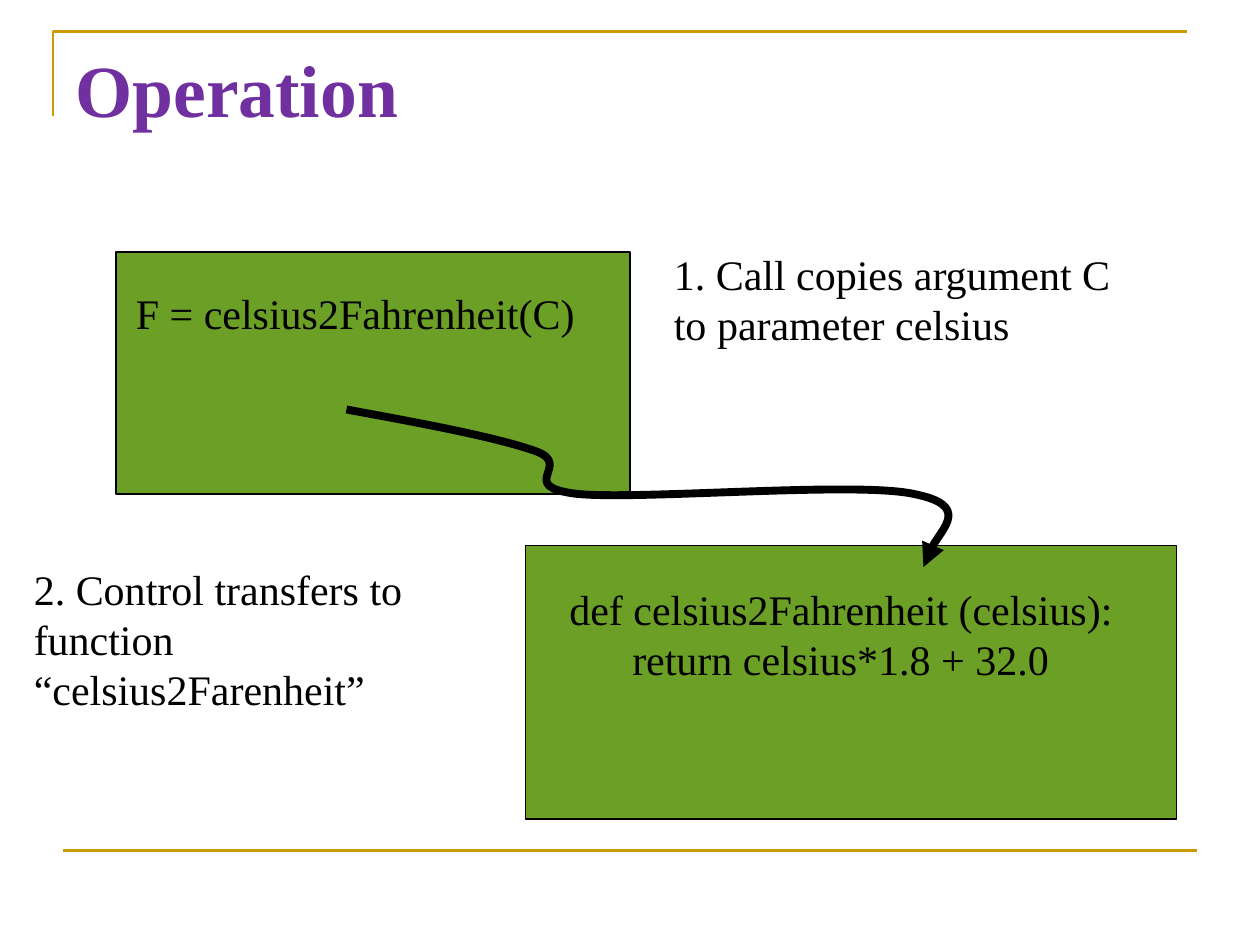
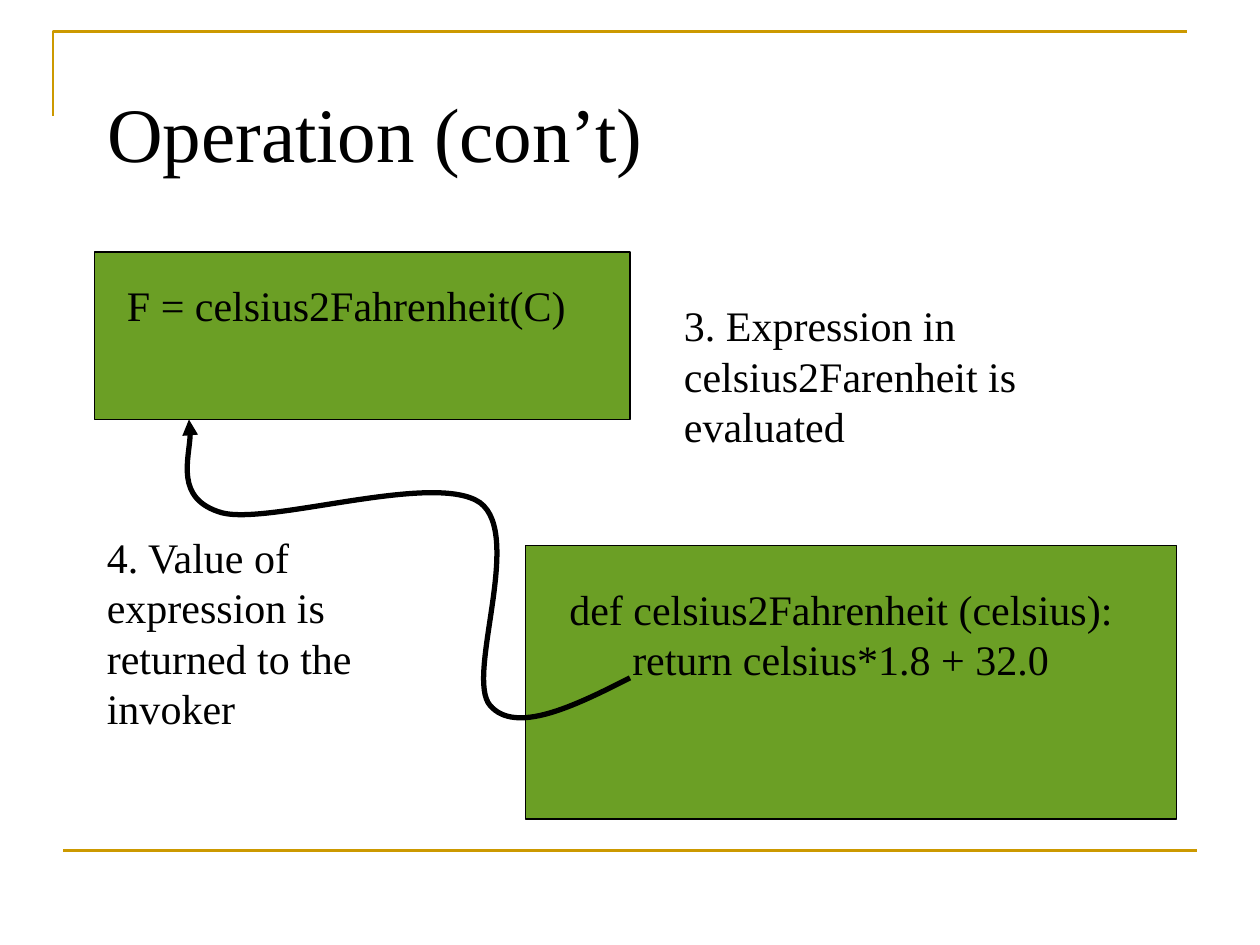
import pptx
import pptx.dml.color
import pptx.enum.shapes
import pptx.enum.text
import pptx.oxml
import pptx.oxml.ns
import pptx.util
from lxml import etree

Inches = pptx.util.Inches
Pt = pptx.util.Pt
Anchor = pptx.enum.text.MSO_ANCHOR

FONT = "Times New Roman"
BLACK = "000000"
GOLD = "CC9900"
GREEN = "6B9F25"
PURPLE = "7030A0"

CALL = ["F = celsius2Fahrenheit(C)"]
FUNCTION = ["def celsius2Fahrenheit (celsius):", "      return celsius*1.8 + 32.0"]


def color(value):
    return pptx.dml.color.RGBColor.from_string(value)


def sub_element(parent, tag, **attributes):
    return etree.SubElement(parent, pptx.oxml.ns.qn(tag), **attributes)


def set_line(shape, value, width):
    shape.line.color.rgb = color(value)
    shape.line.width = Pt(width)


def write(frame, lines, size=24, value=BLACK, bold=False, anchor=Anchor.TOP):
    frame.word_wrap = True
    frame.auto_size = pptx.enum.text.MSO_AUTO_SIZE.NONE
    frame.vertical_anchor = anchor
    for index, line in enumerate(lines):
        para = frame.add_paragraph() if index else frame.paragraphs[0]
        para.alignment = pptx.enum.text.PP_ALIGN.LEFT
        span = para.add_run()
        span.text = line
        span.font.name = FONT
        span.font.size = Pt(size)
        span.font.bold = bold
        span.font.color.rgb = color(value)


def add_text(page, place, lines):
    box = page.shapes.add_textbox(*map(Inches, place))
    write(box.text_frame, lines)


def add_block(page, place):
    """Add the green rectangle that stands for a piece of code."""
    block = page.shapes.add_shape(
        pptx.enum.shapes.MSO_SHAPE.RECTANGLE, *map(Inches, place))
    block.shadow.inherit = False
    block.fill.solid()
    block.fill.fore_color.rgb = color(GREEN)
    set_line(block, BLACK, 0.75)


def add_outline(page, points, value, width):
    """Add an open, unfilled freeform through the points."""
    start, *others = [(Inches(x), Inches(y)) for x, y in points]
    builder = page.shapes.build_freeform(*start)
    builder.add_line_segments(others, close=False)
    outline = builder.convert_to_shape()
    outline.shadow.inherit = False
    outline.fill.background()
    set_line(outline, value, width)
    return outline


def add_curved_arrow(page, points, width):
    """Add an arrow; after the start, each three points make a Bezier curve."""
    arrow = add_outline(page, points, BLACK, width)
    path = arrow.element.find(".//" + pptx.oxml.ns.qn("a:path"))
    segments = path.findall(pptx.oxml.ns.qn("a:lnTo"))
    for first in range(0, len(segments), 3):
        curve = sub_element(path, "a:cubicBezTo")
        for segment in segments[first:first + 3]:
            curve.append(segment[0])
            path.remove(segment)
    line = arrow.element.spPr.find(pptx.oxml.ns.qn("a:ln"))
    sub_element(line, "a:tailEnd", type="triangle")


def add_page(deck, title, place, **style):
    page = deck.slides.add_slide(deck.slide_layouts[5])
    heading = page.shapes.title
    heading.left, heading.top, heading.width, heading.height = map(Inches, place)
    write(heading.text_frame, [title], **style)

    add_outline(page, [(0.42, 0.92), (0.42, 0.25), (9.42, 0.25)], GOLD, 1.5)
    rule = page.shapes.add_connector(
        pptx.enum.shapes.MSO_CONNECTOR.STRAIGHT,
        *map(Inches, (0.5, 6.75, 9.5, 6.75)))
    set_line(rule, GOLD, 1.5)
    sub_element(rule.element.spPr, "a:effectLst")
    return page


def add_code(page, call_block, call_text):
    """Add the calling line and the function that it calls."""
    add_block(page, (4.17, 4.33, 5.17, 2.17))
    add_text(page, (4.42, 4.58, 5.42, 0.9), FUNCTION)
    add_block(page, call_block)
    add_text(page, call_text, CALL)


def add_call_page(deck):
    page = add_page(deck, "Operation", (0.5, 0.3, 9, 1.5),
                    size=42, value=PURPLE, bold=True)
    add_code(page, (0.92, 2, 4.08, 1.92), (0.98, 2.23, 4.35, 0.9))
    add_text(page, (5.25, 1.92, 3.83, 0.9),
             ["1. Call copies argument C to parameter celsius"])
    add_curved_arrow(page, [
        (2.75, 3.25),
        (3.35, 3.36), (3.94, 3.47), (4.25, 3.58),
        (4.56, 3.69), (4.08, 3.86), (4.58, 3.92),
        (5.08, 3.97), (6.79, 3.82), (7.25, 3.92),
        (7.71, 4.01), (7.32, 4.4), (7.33, 4.5)], 4.5)
    add_text(page, (0.17, 4.42, 4, 1.3),
             ["2. Control transfers to function “celsius2Farenheit”"])


def add_return_page(deck):
    page = add_page(deck, "Operation (con’t)", (0.75, 0.42, 8.5, 1.25),
                    size=44, anchor=Anchor.MIDDLE)
    add_code(page, (0.75, 2, 4.25, 1.33), (0.91, 2.17, 4.17, 0.9))
    add_text(page, (5.33, 2.33, 4.08, 1.3),
             ["3. Expression in celsius2Farenheit is evaluated"])
    add_text(page, (0.75, 4.17, 3, 1.7),
             ["4. Value of expression is returned to the invoker"])
    add_curved_arrow(page, [
        (5, 5.38),
        (4.55, 5.61), (4.09, 5.83), (3.89, 5.6),
        (3.69, 5.37), (4.16, 4.25), (3.81, 3.99),
        (3.45, 3.74), (2.14, 4.17), (1.76, 4.07),
        (1.38, 3.96), (1.55, 3.46), (1.5, 3.33)], 3)


def main():
    deck = pptx.Presentation()
    deck.slide_width = Inches(10)
    deck.slide_height = Inches(7.5)
    add_call_page(deck)
    add_return_page(deck)
    deck.save("out.pptx")


if __name__ == "__main__":
    main()
